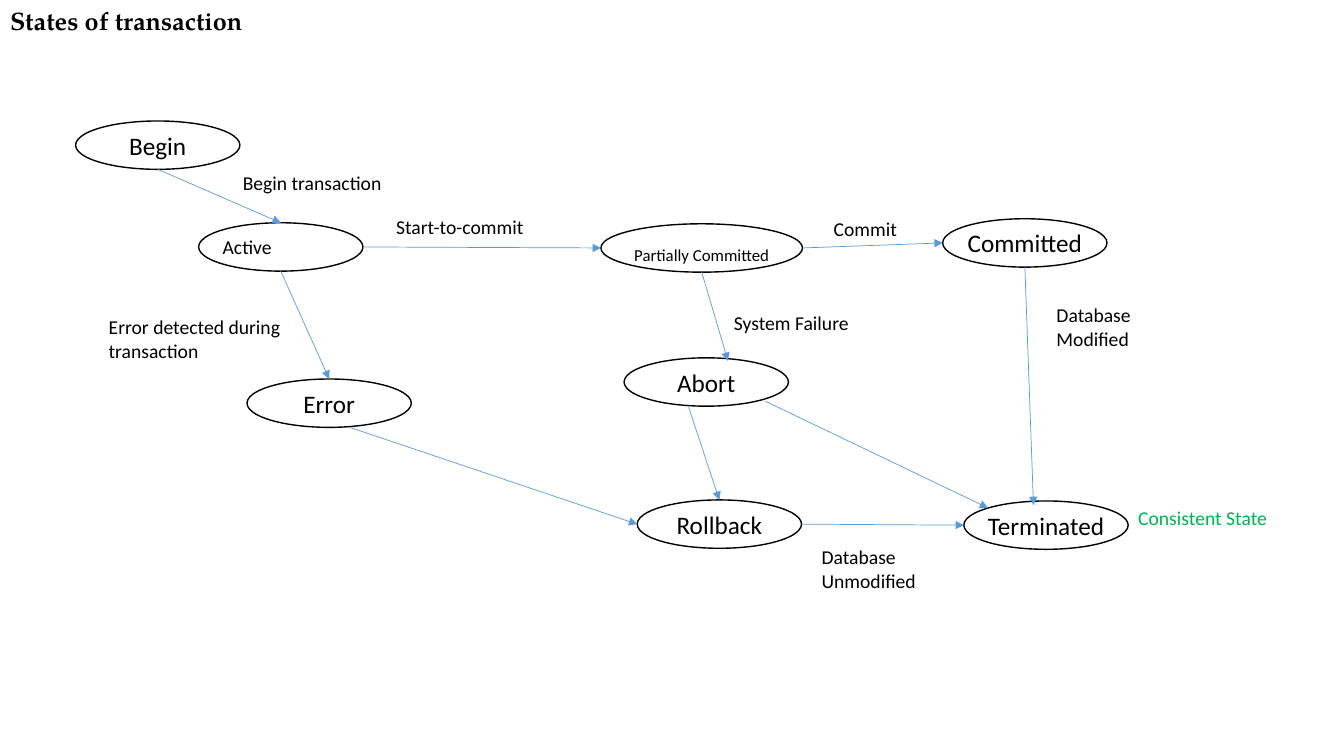
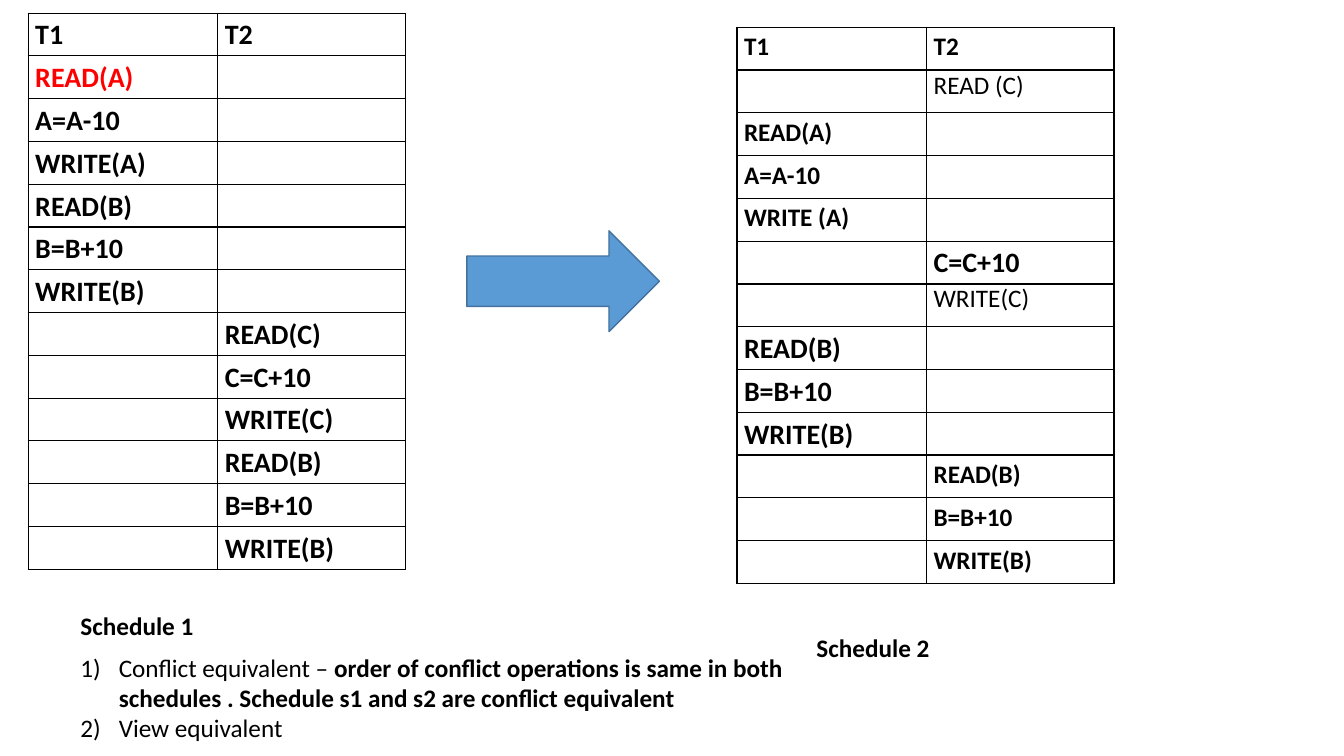
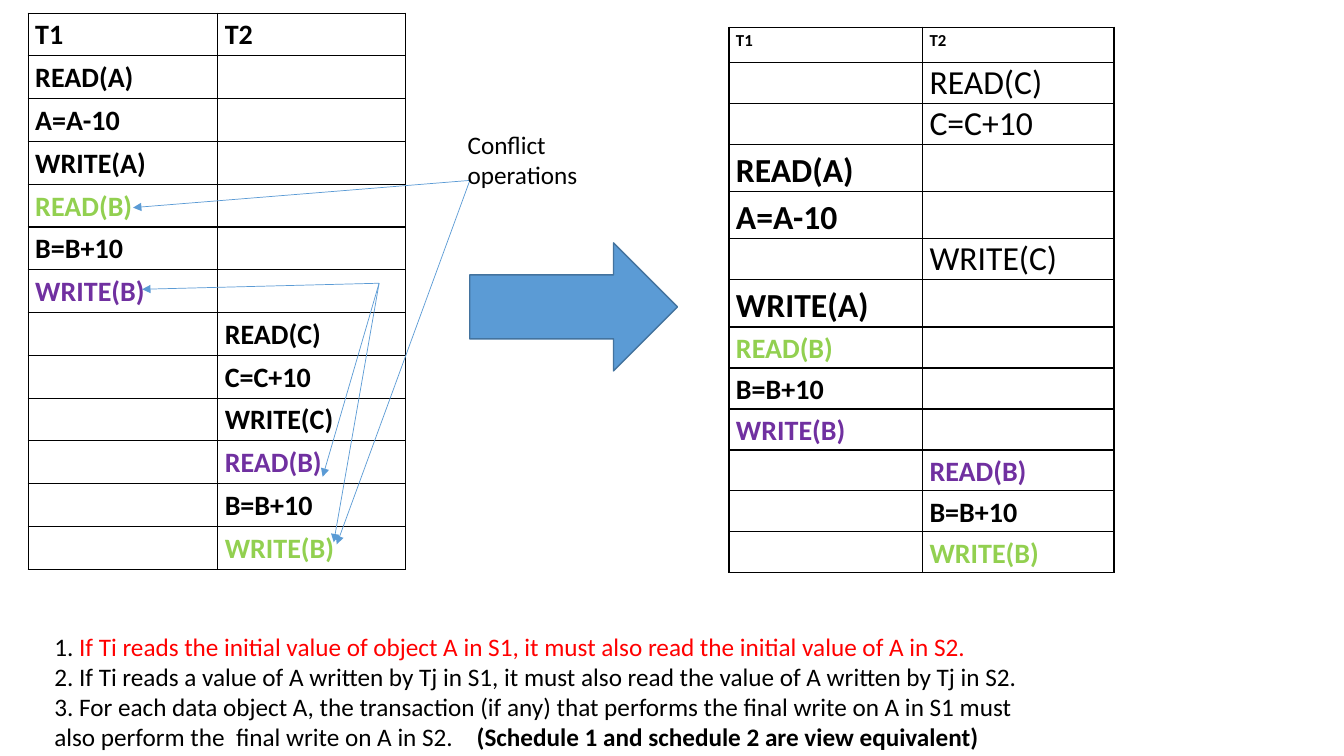
from lxml import etree
from pptx import Presentation
from pptx.dml.color import RGBColor
from pptx.enum import shapes, text
from pptx.oxml import ns
from pptx.util import Inches, Pt

BLACK = RGBColor(0, 0, 0)
WHITE = RGBColor(0xFF, 0xFF, 0xFF)
RED = RGBColor(0xFF, 0, 0)
GREEN = RGBColor(0, 0xB0, 0x50)
LIME = RGBColor(0x92, 0xD0, 0x50)
PURPLE = RGBColor(0x70, 0x30, 0xA0)
BLUE = RGBColor(0x5B, 0x9B, 0xD5)
NAVY = RGBColor(0x43, 0x73, 0x9E)
BODY, SERIF = "Calibri", "TeX Gyre Pagella"
LEFT, CENTER = text.PP_ALIGN.LEFT, text.PP_ALIGN.CENTER
MIDDLE, BOTTOM = text.MSO_ANCHOR.MIDDLE, text.MSO_ANCHOR.BOTTOM

# name: left, top, width, size, alignment, anchor
OVAL_H = 0.48
STATES = {
    "Begin": (0.75, 1.2, 1.63, 18, CENTER, MIDDLE),
    "Active": (1.97, 2.21, 1.63, 14, LEFT, MIDDLE),
    "Partially Committed": (5.96, 2.22, 2, 12, CENTER, BOTTOM),
    "Committed": (9.35, 2.17, 1.63, 18, CENTER, MIDDLE),
    "Error": (2.45, 3.76, 1.63, 18, CENTER, MIDDLE),
    "Abort": (6.19, 3.55, 1.63, 18, CENTER, MIDDLE),
    "Rollback": (6.32, 4.96, 1.63, 18, CENTER, MIDDLE),
    "Terminated": (9.56, 4.97, 1.63, 18, CENTER, MIDDLE),
}
# side of an ellipse: connection site, share of width, share of height
SIDES = {"top": (0, 0.5, 0), "left": (2, 0, 0.5),
         "bottom": (4, 0.5, 1), "right": (6, 1, 0.5)}
# each end is a (state, side) pair or a free (x, y) point
MOVES = [
    (("Begin", "bottom"), ("Active", "top")),
    (("Active", "right"), ("Partially Committed", "left")),
    (("Partially Committed", "right"), ("Committed", "left")),
    (("Active", "bottom"), ("Error", "top")),
    (("Partially Committed", "bottom"), (7.22, 3.58)),
    (("Committed", "bottom"), (10.25, 5.01)),
    (("Rollback", "right"), ("Terminated", "left")),
    ((7.59, 3.98), (9.8, 5.04)),
    ((6.83, 4.04), ("Rollback", "top")),
    ((3.47, 4.24), ("Rollback", "left")),
]
# left, top, width, height, colour, lines
LABELS = [
    (0.98, 3.08, 2.1, 0.57, BLACK, ["Error detected during", "transaction"]),
    (2.31, 1.65, 1.77, 0.34, BLACK, ["Begin transaction"]),
    (3.83, 2.08, 1.77, 0.34, BLACK, ["Start-to-commit"]),
    (8.17, 2.1, 1.77, 0.34, BLACK, ["Commit"]),
    (7.18, 3.04, 1.47, 0.34, BLACK, ["System Failure"]),
    (8.05, 5.36, 1.47, 0.57, BLACK, ["Database Unmodified"]),
    (11.19, 4.97, 1.63, 0.34, GREEN, ["Consistent State"]),
    (10.38, 2.96, 1.47, 0.57, BLACK, ["Database Modified"]),
]

# column, operation
FIRST = [(0, "READ(A)"), (0, "A=A-10"), (0, "WRITE(A)"), (0, "READ(B)"),
         (0, "B=B+10"), (0, "WRITE(B)"), (1, "READ(C)"), (1, "C=C+10"),
         (1, "WRITE(C)"), (1, "READ(B)"), (1, "B=B+10"), (1, "WRITE(B)")]
CLASH = {3: LIME, 5: PURPLE, 9: PURPLE, 11: LIME}
# column, operation, size, bold
SECOND = [(1, "READ (C)", 18, False), (0, "READ(A)", 18, True),
          (0, "A=A-10", 18, True), (0, "WRITE (A)", 18, True),
          (1, "C=C+10", 20, True), (1, "WRITE(C)", 18, False),
          (0, "READ(B)", 20, True), (0, "B=B+10", 20, True),
          (0, "WRITE(B)", 20, True), (1, "READ(B)", 18, True),
          (1, "B=B+10", 18, True), (1, "WRITE(B)", 18, True)]
VIEW = [(1, "READ(C)", 24, False), (1, "C=C+10", 24, False),
        (0, "READ(A)", 24, True), (0, "A=A-10", 24, True),
        (1, "WRITE(C)", 24, False), (0, "WRITE(A)", 24, True),
        (0, "READ(B)", 20, True), (0, "B=B+10", 20, True),
        (0, "WRITE(B)", 20, True), (1, "READ(B)", 20, True),
        (1, "B=B+10", 20, True), (1, "WRITE(B)", 20, True)]
VIEW_CLASH = {6: LIME, 8: PURPLE, 9: PURPLE, 11: LIME}

# paragraphs of (text, bold, colour) runs
KINDS = [
    [("Conflict equivalent – ", False, BLACK),
     ("order of conflict operations is same in both schedules . "
      "Schedule s1 and s2 are conflict equivalent", True, BLACK)],
    [("View equivalent", False, BLACK)],
]
RULES = [
    [("1. ", False, BLACK),
     ("If Ti reads the initial value of object A in S1, it must also read "
      "the initial value of A in S2.", False, RED)],
    [("2. If Ti reads a value of A written by Tj in S1, it must also read "
      "the value of A written by Tj in S2.", False, BLACK)],
    [("3. For each data object A, the transaction (if any) that performs the "
      "final write on A in S1 must also perform the  final write on A in S2.\t",
      False, BLACK),
     ("(Schedule 1 and schedule 2 are view equivalent)", True, BLACK)],
]
HUB, FORK = (4.66, 1.79), (3.76, 2.81)
POINTS = [(HUB, (1.32, 2.06)), (HUB, (3.34, 5.4)), (FORK, (1.41, 2.87)),
          (FORK, (3.31, 5.38)), (FORK, (3.2, 4.73))]


def sub(parent, tag, **attrs):
    return etree.SubElement(parent, ns.qn(tag), attrs)


def add_run(para, words, size, bold=False, color=BLACK, face=BODY):
    run = para.add_run()
    run.text = words
    font = run.font
    font.name, font.size, font.bold = face, Pt(size), bold
    font.color.rgb = color


def add_box(slide, place, paras, size):
    """Add a text box and return its paragraphs."""
    frame = slide.shapes.add_textbox(*map(Inches, place)).text_frame
    frame.word_wrap = True
    for i, runs in enumerate(paras):
        para = frame.add_paragraph() if i else frame.paragraphs[0]
        for words, bold, color in runs:
            add_run(para, words, size, bold, color)
    return frame.paragraphs


def add_form(slide, kind, place, fill, edge):
    form = slide.shapes.add_shape(kind, *map(Inches, place))
    form.shadow.inherit = False
    form.fill.solid()
    form.fill.fore_color.rgb = fill
    form.line.color.rgb = edge
    form.line.width = Pt(1)
    return form


def add_arrow(slide, start, end):
    line = slide.shapes.add_connector(
        shapes.MSO_CONNECTOR.STRAIGHT, *map(Inches, start + end))
    line.line.color.rgb = BLUE
    line.line.width = Pt(0.5)
    sub(line.line._get_or_add_ln(), "a:tailEnd", type="triangle")
    sub(line._element.spPr, "a:effectLst")
    return line


def add_ops(slide, x, y, cols, heights, head, rows, colors):
    """Add a two-column schedule with its T1 / T2 heading row."""
    table = slide.shapes.add_table(
        len(rows) + 1, 2, Inches(x), Inches(y),
        Inches(sum(cols)), Inches(sum(heights))).table
    table.first_row = table.horz_banding = False
    for col, width in zip(table.columns, cols):
        col.width = Inches(width)
    for row, height in zip(table.rows, heights):
        row.height = Inches(height)
    for cell in table.iter_cells():
        cell.margin_left = cell.margin_right = Inches(0.07)
        cell.margin_top = cell.margin_bottom = 0
        for side in ("a:lnL", "a:lnR", "a:lnT", "a:lnB"):
            edge = sub(cell._tc.get_or_add_tcPr(), side, w=str(Pt(1)))
            sub(sub(edge, "a:solidFill"), "a:srgbClr", val=str(BLACK))
        cell.fill.background()
    items = [(0, 0, "T1", head, True, BLACK), (0, 1, "T2", head, True, BLACK)]
    items += [(i + 1, *row, colors.get(i, BLACK)) for i, row in enumerate(rows)]
    for row, col, words, size, bold, color in items:
        para = table.cell(row, col).text_frame.paragraphs[0]
        if bold:
            para.line_spacing = 1.15
        add_run(para, words, size, bold, color)


def add_first(slide, colors):
    rows = [(col, words, 20, True) for col, words in FIRST]
    add_ops(slide, 0.28, 0.13, (1.88, 1.86), EVEN, 20, rows, colors)


def draw_states(slide):
    title = slide.shapes.title
    title.left, title.top, title.width, title.height = map(
        Inches, (0, 0, 13.33, 1.85))
    title.text_frame.vertical_anchor = text.MSO_ANCHOR.TOP
    para = title.text_frame.paragraphs[0]
    para.alignment = LEFT
    add_run(para, "States of transaction", 18, True, face=SERIF)

    ovals = {}
    for name, (x, y, w, size, align, anchor) in STATES.items():
        oval = add_form(slide, shapes.MSO_SHAPE.OVAL, (x, y, w, OVAL_H),
                        WHITE, BLACK)
        frame = oval.text_frame
        frame.margin_left = frame.margin_right = 0
        frame.margin_top = frame.margin_bottom = 0
        frame.word_wrap = align == LEFT
        frame.vertical_anchor = anchor
        frame.paragraphs[0].alignment = align
        add_run(frame.paragraphs[0], name, size)
        ovals[name] = oval

    def locate(end):
        if end[0] not in STATES:
            return end
        x, y, w = STATES[end[0]][:3]
        _, across, down = SIDES[end[1]]
        return x + w * across, y + OVAL_H * down

    for move in MOVES:
        line = add_arrow(slide, *map(locate, move))
        links = line._element.nvCxnSpPr.cNvCxnSpPr
        for tag, (name, side) in zip(("a:stCxn", "a:endCxn"), move):
            if name in ovals:
                sub(links, tag, id=str(ovals[name].shape_id),
                    idx=str(SIDES[side][0]))
    for *place, color, lines in LABELS:
        add_box(slide, place, [[(words, False, color)] for words in lines], 14)


def draw_conflict(slide):
    add_first(slide, {0: RED})
    add_ops(slide, 7.31, 0.27, (1.88, 1.86), EVEN, 18, SECOND, {})
    add_form(slide, shapes.MSO_SHAPE.RIGHT_ARROW, (4.63, 2.29, 1.91, 1),
             BLUE, NAVY)
    for x, y, name in ((0.7, 6.01, "Schedule 1"), (8, 6.22, "Schedule 2")):
        add_box(slide, (x, y, 2.66, 0.4), [[(name, True, BLACK)]], 18)
    for para in add_box(slide, (0.7, 6.42, 7.56, 1.01), KINDS, 18):
        props = para._p.get_or_add_pPr()
        props.set("marL", str(Inches(0.38)))
        props.set("indent", str(-Inches(0.38)))
        sub(props, "a:buFont", typeface="+mj-lt")
        sub(props, "a:buAutoNum", type="arabicParenR")


def draw_view(slide):
    add_first(slide, CLASH)
    add_ops(slide, 7.23, 0.27, (1.92, 1.9), [0.35] + [4.88 / 12] * 12, 12,
            VIEW, VIEW_CLASH)
    add_form(slide, shapes.MSO_SHAPE.RIGHT_ARROW, (4.66, 2.41, 2.06, 1.27),
             BLUE, NAVY)
    for start, end in POINTS:
        add_arrow(slide, start, end)
    add_box(slide, (4.54, 1.23, 1.66, 0.71),
            [[("Conflict operations", False, BLACK)]], 18)
    last = add_box(slide, (0.44, 6.21, 9.87, 1.32), RULES, 18)[-1]
    stops = sub(last._p.get_or_add_pPr(), "a:tabLst")
    sub(stops, "a:tab", pos=str(Inches(4.19)), algn="l")


EVEN = [5.52 / 13] * 13
TITLE_ONLY, BLANK = 5, 6


def main():
    deck = Presentation()
    deck.slide_width, deck.slide_height = Inches(13.33), Inches(7.5)
    for layout, draw in ((TITLE_ONLY, draw_states), (BLANK, draw_conflict),
                         (BLANK, draw_view)):
        draw(deck.slides.add_slide(deck.slide_layouts[layout]))
    deck.save("out.pptx")


if __name__ == "__main__":
    main()
